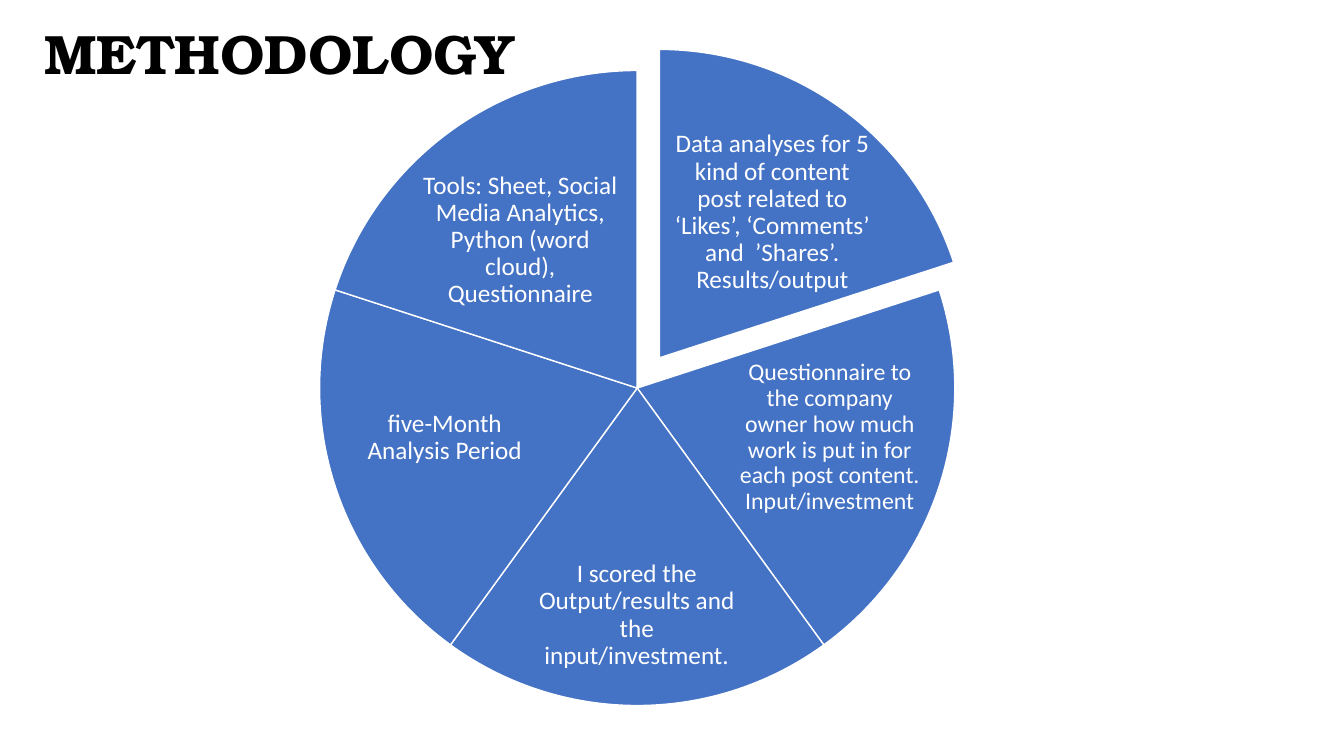
from pptx import Presentation
from pptx.dml.color import RGBColor
from pptx.enum.shapes import MSO_SHAPE
from pptx.enum.text import MSO_ANCHOR, MSO_AUTO_SIZE, PP_ALIGN
from pptx.util import Inches, Pt

PIE = MSO_SHAPE.PIE
CENTER = PP_ALIGN.CENTER
MIDDLE = MSO_ANCHOR.MIDDLE
NO_AUTOFIT = MSO_AUTO_SIZE.NONE

BLUE, WHITE, BLACK = "4472C4", "FFFFFF", "000000"
BODY_FONT, TITLE_FONT = "Calibri", "TeX Gyre Bonum"

FULL_TURN = 216
TOP_ANGLE = 162
PIE_PLACE = (3.17, 0.7, 6.3, 6.3)
RAISED_PLACE = (3.47, 0.49, 6.14, 6.12)

STEPS = [
    ("Data analyses for 5 kind of content post related to ‘Likes’, ‘Comments’ "
     "and  ’Shares’. Results/output", (6.62, 1.4, 2.08, 1.42), 18),
    ("Questionnaire to the company owner how much work is put in for each post "
     "content. Input/investment", (7.29, 3.55, 1.88, 1.58), 17),
    ("I scored the Output/results and the input/investment.",
     (5.19, 5.43, 2.25, 1.35), 18),
    ("five-Month Analysis Period", (3.47, 3.55, 1.88, 1.58), 18),
    ("Tools: Sheet, Social Media Analytics, Python (word cloud), Questionnaire",
     (4.09, 1.65, 2.14, 1.47), 18),
]


def color(value):
    return RGBColor.from_string(value)


def inches(place):
    return [Inches(length) for length in place]


def write_text(frame, text, *, size, font, fill, bold=False, inset=0.03):
    frame.word_wrap = True
    frame.auto_size = NO_AUTOFIT
    frame.vertical_anchor = MIDDLE
    frame.margin_left = frame.margin_right = Inches(inset)
    frame.margin_top = frame.margin_bottom = Inches(inset)
    para = frame.paragraphs[0]
    para.alignment = CENTER
    para.line_spacing = 0.9
    span = para.add_run()
    span.text = text
    span.font.size = Pt(size)
    span.font.name = font
    span.font.bold = bold
    span.font.color.rgb = color(fill)


def add_title(page, text):
    title = page.shapes.title
    title.left, title.top, title.width, title.height = inches((0.12, 0.23, 5.3, 0.66))
    write_text(title.text_frame, text, size=39.6, font=TITLE_FONT, fill=BLACK, bold=True)


def add_slice(group, place, start, end):
    wedge = group.shapes.add_shape(PIE, *inches(place))
    wedge.adjustments[0] = start
    wedge.adjustments[1] = end
    wedge.shadow.inherit = False
    wedge.fill.solid()
    wedge.fill.fore_color.rgb = color(BLUE)
    wedge.line.color.rgb = color(WHITE)
    wedge.line.width = Pt(1)


def add_label(group, text, place, size):
    box = group.shapes.add_textbox(*inches(place))
    write_text(box.text_frame, text, size=size, font=BODY_FONT, fill=WHITE)


def add_pie(page):
    group = page.shapes.add_group_shape()
    sweep = FULL_TURN / len(STEPS)
    for index, (text, label_place, size) in enumerate(STEPS):
        start = (TOP_ANGLE + index * sweep) % FULL_TURN
        end = (TOP_ANGLE + (index + 1) * sweep) % FULL_TURN
        place = PIE_PLACE if index else RAISED_PLACE
        add_slice(group, place, round(start, 2), round(end, 2))
        add_label(group, text, label_place, size)


def main():
    deck = Presentation()
    deck.slide_width, deck.slide_height = inches((13.33, 7.5))
    page = deck.slides.add_slide(deck.slide_layouts[5])
    add_title(page, "METHODOLOGY")
    add_pie(page)
    deck.save("out.pptx")


main()
